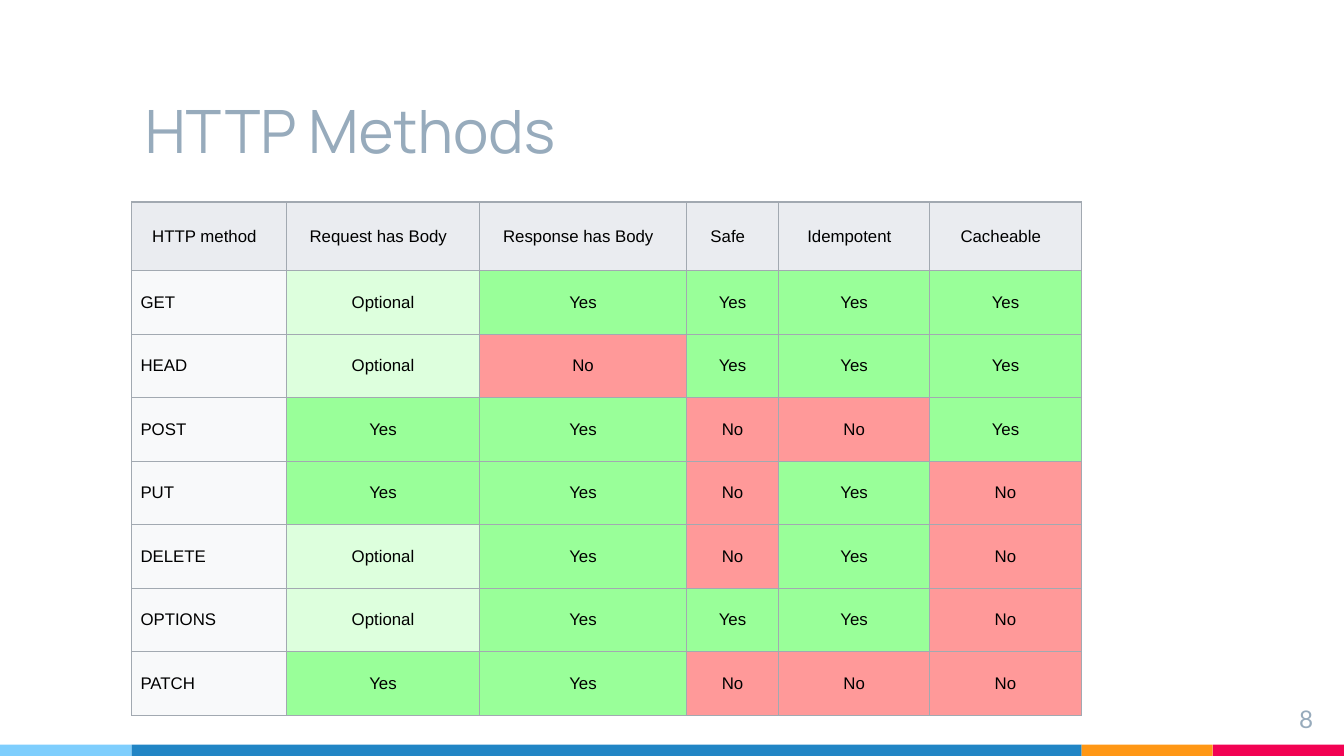
from dataclasses import dataclass

from lxml import etree
from pptx import Presentation
from pptx.dml.color import RGBColor
from pptx.enum.shapes import MSO_SHAPE
from pptx.enum.text import MSO_ANCHOR, PP_ALIGN
from pptx.oxml.ns import qn
from pptx.slide import Slide
from pptx.table import _Cell
from pptx.util import Pt

RECTANGLE = MSO_SHAPE.RECTANGLE
TOP, MIDDLE, BOTTOM = MSO_ANCHOR.TOP, MSO_ANCHOR.MIDDLE, MSO_ANCHOR.BOTTOM
LEFT, CENTER, RIGHT = PP_ALIGN.LEFT, PP_ALIGN.CENTER, PP_ALIGN.RIGHT

COLORS = {
    "sky": "7ECEFD",
    "blue": "2185C5",
    "orange": "FF9715",
    "red": "F20253",
    "muted": "97ABBC",
    "black": "000000",
    "border": "A2A9B1",
    "header": "EAECF0",
    "method": "F8F9FA",
    "Optional": "DDFFDD",
    "Yes": "99FF99",
    "No": "FF9999",
}

SLIDE_WIDTH, SLIDE_HEIGHT = 720, 405
MARGIN = 70.5
CONTENT_WIDTH = 509
BAR_HEIGHT = 6.1
TABLE_TOP = 108.2
COLUMN_WIDTHS = (83, 103.4, 110.9, 49.3, 81, 81.2)
HEADER_HEIGHT, ROW_HEIGHT = 36.9, 34.03

HEADERS = ("HTTP method", "Request has Body", "Response has Body",
           "Safe", "Idempotent", "Cacheable")
METHODS = (
    ("GET", "Optional", "Yes", "Yes", "Yes", "Yes"),
    ("HEAD", "Optional", "No", "Yes", "Yes", "Yes"),
    ("POST", "Yes", "Yes", "No", "No", "Yes"),
    ("PUT", "Yes", "Yes", "No", "Yes", "No"),
    ("DELETE", "Optional", "Yes", "No", "Yes", "No"),
    ("OPTIONS", "Optional", "Yes", "Yes", "Yes", "No"),
    ("PATCH", "Yes", "Yes", "No", "No", "No"),
)


@dataclass(frozen=True)
class TextStyle:
    font: str
    size: float
    color: str
    align: PP_ALIGN
    anchor: MSO_ANCHOR


@dataclass(frozen=True)
class Label:
    text: str
    left: float
    top: float
    width: float
    height: float
    style: TextStyle


@dataclass(frozen=True)
class Bar:
    width: float
    color: str


TITLE_STYLE = TextStyle("Manrope", 32, "muted", LEFT, BOTTOM)
NUMBER_STYLE = TextStyle("Lato", 13, "muted", RIGHT, TOP)
HEADER_STYLE = TextStyle("Arial", 9, "black", CENTER, MIDDLE)
METHOD_STYLE = TextStyle("Arial", 9, "black", LEFT, MIDDLE)

LABELS = (
    Label("HTTP Methods", MARGIN, 28.1, CONTENT_WIDTH, 67.7, TITLE_STYLE),
    Label("8", 667.4, 370.1, 43.2, 24.5, NUMBER_STYLE),
)
SIDE_WIDTH = (SLIDE_WIDTH - MARGIN - CONTENT_WIDTH) / 2
BARS = (Bar(MARGIN, "sky"), Bar(CONTENT_WIDTH, "blue"),
        Bar(SIDE_WIDTH, "orange"), Bar(SIDE_WIDTH, "red"))


def rgb(name: str) -> RGBColor:
    return RGBColor.from_string(COLORS[name])


def write_text(frame, text: str, style: TextStyle) -> None:
    paragraph = frame.paragraphs[0]
    paragraph.alignment = style.align
    run = paragraph.add_run()
    run.text = text
    run.font.name = style.font
    run.font.size = Pt(style.size)
    run.font.bold = False
    run.font.color.rgb = rgb(style.color)


def add_bars(slide: Slide) -> None:
    """Lay the coloured bars end to end along the bottom edge."""
    left = 0
    for bar in BARS:
        shape = slide.shapes.add_shape(
            RECTANGLE, Pt(left), Pt(SLIDE_HEIGHT - BAR_HEIGHT), Pt(bar.width), Pt(BAR_HEIGHT))
        shape.shadow.inherit = False
        shape.fill.solid()
        shape.fill.fore_color.rgb = rgb(bar.color)
        shape.line.fill.background()
        left += bar.width


def add_label(slide: Slide, label: Label) -> None:
    shape = slide.shapes.add_textbox(
        Pt(label.left), Pt(label.top), Pt(label.width), Pt(label.height))
    frame = shape.text_frame
    frame.word_wrap = True
    frame.vertical_anchor = label.style.anchor
    frame.margin_left = frame.margin_right = Pt(7.2)
    frame.margin_top = frame.margin_bottom = Pt(7.2)
    write_text(frame, label.text, label.style)


def add_borders(cell: _Cell) -> None:
    """Put the four border lines ahead of the fill, as the schema requires."""
    properties = cell._tc.get_or_add_tcPr()
    for index, side in enumerate(("a:lnL", "a:lnR", "a:lnT", "a:lnB")):
        line = etree.Element(qn(side), w=str(Pt(0.75)))
        fill = etree.SubElement(line, qn("a:solidFill"))
        etree.SubElement(fill, qn("a:srgbClr"), val=COLORS["border"])
        properties.insert(index, line)


def fill_cell(cell: _Cell, text: str, fill: str, style: TextStyle, right_margin: float) -> None:
    cell.fill.solid()
    cell.fill.fore_color.rgb = rgb(fill)
    cell.vertical_anchor = style.anchor
    cell.margin_left, cell.margin_right = Pt(4.8), Pt(right_margin)
    cell.margin_top = cell.margin_bottom = Pt(2.4)
    write_text(cell.text_frame, text, style)
    add_borders(cell)


def add_methods_table(slide: Slide) -> None:
    row_heights = (HEADER_HEIGHT,) + (ROW_HEIGHT,) * len(METHODS)
    table = slide.shapes.add_table(
        len(row_heights), len(COLUMN_WIDTHS), Pt(MARGIN), Pt(TABLE_TOP),
        Pt(sum(COLUMN_WIDTHS)), Pt(sum(row_heights))).table
    table.first_row = table.horz_banding = False
    for column, width in zip(table.columns, COLUMN_WIDTHS):
        column.width = Pt(width)
    for row, height in zip(table.rows, row_heights):
        row.height = Pt(height)

    for column, text in enumerate(HEADERS):
        fill_cell(table.cell(0, column), text, "header", HEADER_STYLE, 9.9)
    for row, (method, *answers) in enumerate(METHODS, start=1):
        fill_cell(table.cell(row, 0), method, "method", METHOD_STYLE, 4.8)
        for column, answer in enumerate(answers, start=1):
            fill_cell(table.cell(row, column), answer, answer, HEADER_STYLE, 4.8)


def main() -> None:
    presentation = Presentation()
    presentation.slide_width = Pt(SLIDE_WIDTH)
    presentation.slide_height = Pt(SLIDE_HEIGHT)
    slide = presentation.slides.add_slide(presentation.slide_layouts[6])
    add_bars(slide)
    title, page_number = LABELS
    add_label(slide, title)
    add_methods_table(slide)
    add_label(slide, page_number)
    presentation.save("out.pptx")


if __name__ == "__main__":
    main()
